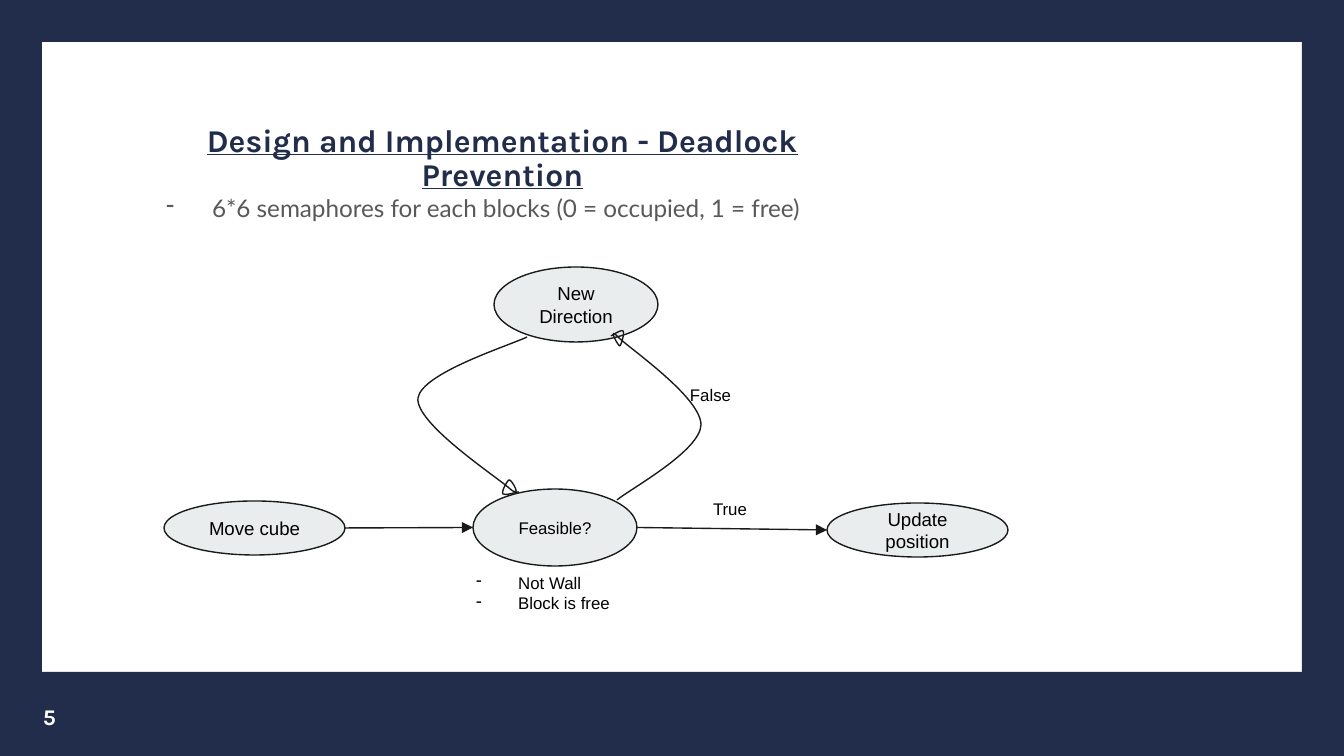
from lxml.etree import SubElement
from pptx import Presentation
from pptx.dml.color import RGBColor
from pptx.enum.shapes import MSO_CONNECTOR, MSO_SHAPE
from pptx.enum.text import MSO_ANCHOR, PP_ALIGN
from pptx.oxml.ns import qn
from pptx.util import Inches, Pt

WIDTH, HEIGHT, BAR = 1344, 756, 42
PX = Inches(10) / WIDTH
NAVY, GREY, PALE, INK, BLACK, WHITE = (
    "222C4B", "595959", "E9EDEE", "1A1A1A", "000000", "FFFFFF")

INNER = WIDTH - 2 * BAR
FRAME = [
    (BAR, 0, INNER, BAR),
    (0, 0, BAR, HEIGHT),
    (WIDTH - BAR, 0, BAR, HEIGHT),
    (BAR, HEIGHT - BAR, INNER, BAR),
    (BAR, HEIGHT - 2 * BAR, INNER, BAR),
]
TIGHT, WIDE = (9, 5), (13, 13)  # horizontal and vertical insets

TEXTS = [
    (["5"], (34, 698, 51, 38),
     dict(size=12, font="Karla", color=WHITE, bold=True, insets=TIGHT)),
    (["Design and Implementation - Deadlock Prevention"], (124, 120, 757, 52),
     dict(size=17, font="Karla", color=NAVY, bold=True, underline=True,
          align=PP_ALIGN.CENTER, spacing=0.9, insets=TIGHT)),
    (["6*6 semaphores for each blocks (0 = occupied, 1 = free)"],
     (132, 176, 1130, 69),
     dict(size=13, font="Lato", color=GREY, spacing=1.15, hanging=46)),
    (["True"], (700, 489, 63, 51), dict(size=9)),
    (["False"], (677, 375, 90, 51), dict(size=9)),
    (["Not Wall", "Block is free"], (438, 560, 195, 51),
     dict(size=9, hanging=42)),
]
STATES = {
    "New Direction": ((494, 267, 164, 75), 10),
    "Update position": ((827, 503, 181, 54), 10),
    "Feasible?": ((473, 489, 164, 77), 9),
    "Move cube": ((164, 501, 181, 54), 10),
}
ARROWS = [("Feasible?", "Update position"), ("Move cube", "Feasible?")]

# Each loop: a start point, then three points per Bezier segment.
LOOPS = [
    [(527, 337),
     (508, 346), (422, 373), (418, 398),
     (415, 423), (494, 475), (509, 488),
     (524, 501), (511, 478), (509, 480),
     (507, 481), (501, 492), (503, 494),
     (505, 496), (516, 492), (519, 492)],
    [(617, 500),
     (632, 488), (700, 451), (701, 425),
     (701, 398), (633, 351), (619, 338),
     (606, 324), (619, 348), (620, 346),
     (621, 345), (625, 333), (623, 331),
     (622, 329), (613, 335), (611, 336)],
]


def px(*lengths):
    return [round(length * PX) for length in lengths]


def rgb(color):
    return RGBColor.from_string(color)


def write(shape, lines, size=10, font="Arial", color=BLACK, bold=False,
          underline=False, align=PP_ALIGN.LEFT, anchor=MSO_ANCHOR.TOP,
          spacing=None, insets=WIDE, hanging=None):
    """Fill a shape with text; hanging gives dash bullets and their indent."""
    frame = shape.text_frame
    frame.word_wrap = True
    frame.vertical_anchor = anchor
    frame.margin_left, frame.margin_top = px(*insets)
    frame.margin_right, frame.margin_bottom = px(*insets)
    for index, line in enumerate(lines):
        para = frame.add_paragraph() if index else frame.paragraphs[0]
        para.alignment = align
        if spacing:
            para.line_spacing = spacing
        span = para.add_run()
        span.text = line
        span.font.size, span.font.name = Pt(size), font
        span.font.bold, span.font.underline = bold, underline
        span.font.color.rgb = rgb(color)
        if hanging:
            properties = para._p.get_or_add_pPr()
            properties.set("marL", str(Inches(0.5)))
            properties.set("indent", str(-px(hanging)[0]))
            bullet_color = SubElement(properties, qn("a:buClr"))
            SubElement(bullet_color, qn("a:srgbClr"), val=color)
            SubElement(properties, qn("a:buChar"), char="-")


def outline(shape):
    shape.line.color.rgb = rgb(INK)
    shape.line.width = Pt(0.75)


def add_filled(shapes, kind, place, color):
    shape = shapes.add_shape(kind, *px(*place))
    shape.shadow.inherit = False
    shape.fill.solid()
    shape.fill.fore_color.rgb = rgb(color)
    shape.line.fill.background()
    return shape


def add_arrow(shapes, source, target):
    """Join the right edge of one state to the left edge of another."""
    left, top, width, height = STATES[source][0]
    end_left, end_top, _, end_height = STATES[target][0]
    arrow = shapes.add_connector(MSO_CONNECTOR.STRAIGHT, *px(
        left + width, top + height / 2, end_left, end_top + end_height / 2))
    outline(arrow)
    SubElement(arrow.line._get_or_add_ln(), qn("a:tailEnd"), type="triangle")
    SubElement(arrow._element.spPr, qn("a:effectLst"))


def add_curve(shapes, points):
    """Build a freeform, then turn each three line steps into one Bezier."""
    builder = shapes.build_freeform(*points[0], scale=PX)
    builder.add_line_segments(points[1:], close=False)
    curve = builder.convert_to_shape()
    curve.shadow.inherit = False
    curve.fill.background()
    outline(curve)
    steps = list(curve._element.iter(qn("a:lnTo")))
    outline_path = steps[0].getparent()
    for start in range(0, len(steps), 3):
        bezier = SubElement(outline_path, qn("a:cubicBezTo"))
        for step in steps[start:start + 3]:
            bezier.append(step[0])
            outline_path.remove(step)


def main():
    deck = Presentation()
    deck.slide_width, deck.slide_height = px(WIDTH, HEIGHT)
    page = deck.slides.add_slide(deck.slide_layouts[6])
    shapes = page.shapes

    for place in FRAME:
        add_filled(shapes, MSO_SHAPE.RECTANGLE, place, NAVY)
    for name, (place, size) in STATES.items():
        state = add_filled(shapes, MSO_SHAPE.FLOWCHART_CONNECTOR, place, PALE)
        outline(state)
        write(state, [name], size=size, align=PP_ALIGN.CENTER,
              anchor=MSO_ANCHOR.MIDDLE)
    for source, target in ARROWS:
        add_arrow(shapes, source, target)
    for points in LOOPS:
        add_curve(shapes, points)
    for lines, place, style in TEXTS:
        write(shapes.add_textbox(*px(*place)), lines, **style)

    deck.save("out.pptx")


if __name__ == "__main__":
    main()
